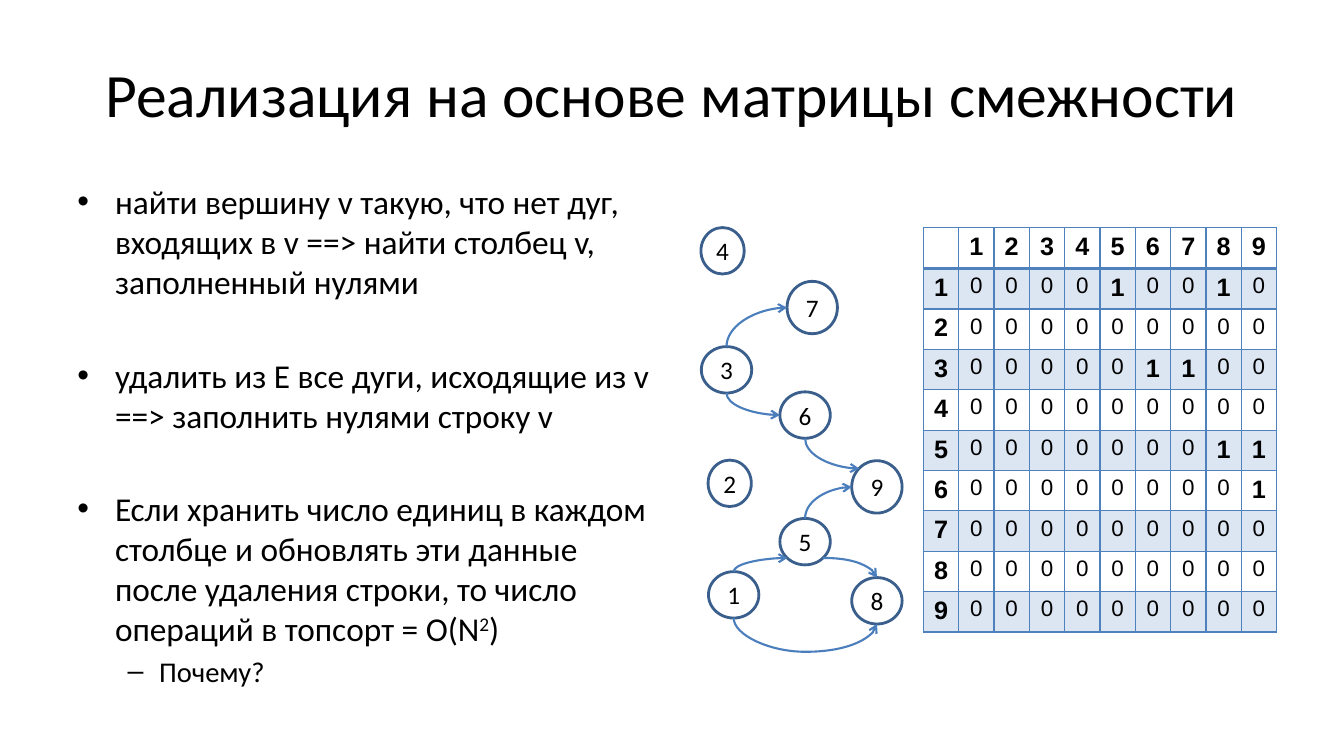
from lxml.etree import SubElement
from pptx import Presentation
from pptx.dml.color import RGBColor
from pptx.enum.shapes import MSO_CONNECTOR as LINK, MSO_SHAPE as SHAPE
from pptx.enum.text import MSO_ANCHOR as ANCHOR, PP_ALIGN as ALIGN
from pptx.oxml.ns import qn
from pptx.util import Cm, Pt

TITLE = "Реализация на основе матрицы смежности"
# runs, bullet, size, space before, left edge and hang of the text
POINTS = [
    (["найти вершину v такую, что нет дуг, входящих в v ==> найти столбец v, "
      "заполненный нулями"], "•", 23.8, 0, 0.95, 0.95),
    (["удалить из E все дуги, исходящие из v ==> заполнить нулями строку v"],
     "•", 23.8, 38, 0.95, 0.95),
    (["Если хранить число единиц в каждом столбце и обновлять эти данные "
      "после удаления строки, то число операций в топсорт = O(N", "2", ")"],
     "•", 23.8, 38, 0.95, 0.95),
    (["Почему?"], "–", 20.4, 4, 2.06, 0.79),
]
# centre x, centre y, width, height in cm
NODES = {
    1: (18.49, 14.99, 1.27, 1.17),
    2: (18.39, 12.18, 1.09, 1.17),
    3: (18.31, 9.32, 1.27, 1.17),
    4: (18.21, 6.32, 1.09, 1.17),
    5: (20.29, 13.65, 1.27, 1.17),
    6: (20.29, 10.46, 1.27, 1.17),
    7: (20.47, 7.75, 1.27, 1.32),
    8: (22.1, 15.14, 1.27, 1.17),
    9: (22.1, 12.27, 1.27, 1.32),
}
# (source, its site), (target, its site); sites are fractions of the half size
BENDS = [
    ((3, (0, 1)), (6, (-1, 0))),
    ((6, (0, 1)), (9, (-0.7, -0.7))),
    ((5, (0, -1)), (9, (-1, 0))),
    ((5, (0.7, 0.7)), (8, (0, -1))),
    ((1, (0, -1)), (5, (-0.7, 0.7))),
    ((3, (0, -1)), (7, (-1, 0))),
]
LOOP = (1, 8)
DIP = 0.85
ARCS = {(bend[0][0], bend[1][0]) for bend in BENDS} | {LOOP}

FONT = "Calibri"
BLACK, RIM, ARC, GRID, BAND = "000000", "3A5F8C", "4B7EBC", "4F81BD", "DCE6F2"


def rgb(code):
    return RGBColor.from_string(code)


def style(par, size, font=FONT, bold=False):
    for run in par.runs:
        run.font.size, run.font.name, run.font.bold = Pt(size), font, bold
        run.font.color.rgb = rgb(BLACK)


def add_points(slide):
    box = slide.shapes.add_textbox(Cm(1.7), Cm(4.45), Cm(14.96), Cm(12.57))
    frame = box.text_frame
    frame.word_wrap = True
    for i, (texts, mark, size, gap, left, hang) in enumerate(POINTS):
        par = frame.add_paragraph() if i else frame.paragraphs[0]
        for text in texts:
            par.add_run().text = text
        style(par, size)
        par.space_before = Pt(gap)
        if len(texts) > 1:
            par.runs[1].font._element.set("baseline", "30000")
        props = par._p.get_or_add_pPr()
        props.set("marL", str(Cm(left)))
        props.set("indent", str(-Cm(hang)))
        SubElement(props, qn("a:buFont"), typeface="Arial")
        SubElement(props, qn("a:buChar"), char=mark)


def add_node(slide, num):
    x, y, wide, high = NODES[num]
    node = slide.shapes.add_shape(SHAPE.OVAL, Cm(x - wide / 2),
                                  Cm(y - high / 2), Cm(wide), Cm(high))
    node.shadow.inherit = False
    node.fill.background()
    node.line.color.rgb, node.line.width = rgb(RIM), Pt(2)
    frame = node.text_frame
    frame.text = str(num)
    frame.word_wrap = False
    frame.vertical_anchor = ANCHOR.MIDDLE
    frame.margin_left = frame.margin_right = 0
    frame.margin_top = frame.margin_bottom = 0
    frame.paragraphs[0].alignment = ALIGN.CENTER
    style(frame.paragraphs[0], 18)


def site(num, side):
    x, y, wide, high = NODES[num]
    return x + side[0] * wide / 2, y + side[1] * high / 2


def add_curve(slide, start, end, tip):
    """Draw a curve with an arrow at its headEnd or tailEnd."""
    curve = slide.shapes.add_connector(LINK.CURVE, *map(Cm, start + end))
    curve.line.color.rgb, curve.line.width = rgb(ARC), Pt(1.5)
    props = curve._element.spPr
    SubElement(props.find(qn("a:ln")), qn("a:" + tip), type="arrow")
    SubElement(props, qn("a:effectLst"))
    return props


def add_bend(slide, source, target):
    """Draw a quarter curve, which always sets off level from its start."""
    start, end, tip = site(*source), site(*target), "tailEnd"
    if source[1][0] == 0:
        start, end, tip = end, start, "headEnd"
    props = add_curve(slide, start, end, tip)
    props.find(qn("a:prstGeom")).set("prst", "curvedConnector2")


def add_loop(slide):
    """Draw the curve that hangs below both nodes, as a turned S curve."""
    (x1, y1), (x2, y2) = (site(num, (0, 1)) for num in LOOP)
    x, y, drop, span = (x1 + x2) / 2, (y1 + y2) / 2, y2 - y1, x2 - x1
    props = add_curve(slide, (x + drop / 2, y - span / 2),
                      (x - drop / 2, y + span / 2), "tailEnd")
    props.find(qn("a:xfrm")).set("rot", str(270 * 60000))
    guides = props.find(qn("a:prstGeom")).get_or_add_avLst()
    bulge = round(DIP / drop * 100000)
    SubElement(guides, qn("a:gd"), name="adj1", fmla=f"val {bulge}")


def add_border(cell, side, width):
    line = SubElement(cell._tc.get_or_add_tcPr(), qn("a:" + side),
                      w=str(Pt(width)))
    fill = SubElement(line, qn("a:solidFill"))
    SubElement(fill, qn("a:srgbClr"), val=GRID)


def entry(row, col):
    """Give the text of a matrix cell and whether it is bold."""
    if row and col:
        linked = (row, col) in ARCS
        return str(int(linked)), linked
    return str(row or col or ""), True


def add_matrix(slide):
    size = len(NODES) + 1
    table = slide.shapes.add_table(size, size, Cm(23.27), Cm(5.74),
                                   Cm(8.9), Cm(9.75)).table
    table.first_row = table.horz_banding = False
    for row in range(size):
        table.rows[row].height = Cm(0.97 if row else 1.03)
        table.columns[row].width = Cm(0.89)
        for col in range(size):
            cell = table.cell(row, col)
            for side in ("lnL", "lnR", "lnT", "lnB"):
                edge = (row, side) in ((0, "lnB"), (1, "lnT"))
                add_border(cell, side, 2 if edge else 1)
            if row % 2:
                cell.fill.solid()
                cell.fill.fore_color.rgb = rgb(BAND)
            else:
                cell.fill.background()
            text, bold = entry(row, col)
            cell.text_frame.text = text
            par = cell.text_frame.paragraphs[0]
            par.alignment = ALIGN.CENTER
            style(par, 18 if bold else 16, "Arial", bold)


def main():
    deck = Presentation()
    deck.slide_width, deck.slide_height = Cm(33.87), Cm(19.05)
    slide = deck.slides.add_slide(deck.slide_layouts[5])
    title = slide.shapes.title
    title.left, title.top = Cm(1.7), Cm(0.76)
    title.width, title.height = Cm(30.48), Cm(3.18)
    title.text_frame.text = TITLE
    title.text_frame.vertical_anchor = ANCHOR.MIDDLE
    title.text_frame.paragraphs[0].alignment = ALIGN.CENTER
    style(title.text_frame.paragraphs[0], 44)
    add_points(slide)
    for num in NODES:
        add_node(slide, num)
    for source, target in BENDS:
        add_bend(slide, source, target)
    add_loop(slide)
    add_matrix(slide)
    deck.save("out.pptx")


if __name__ == "__main__":
    main()
